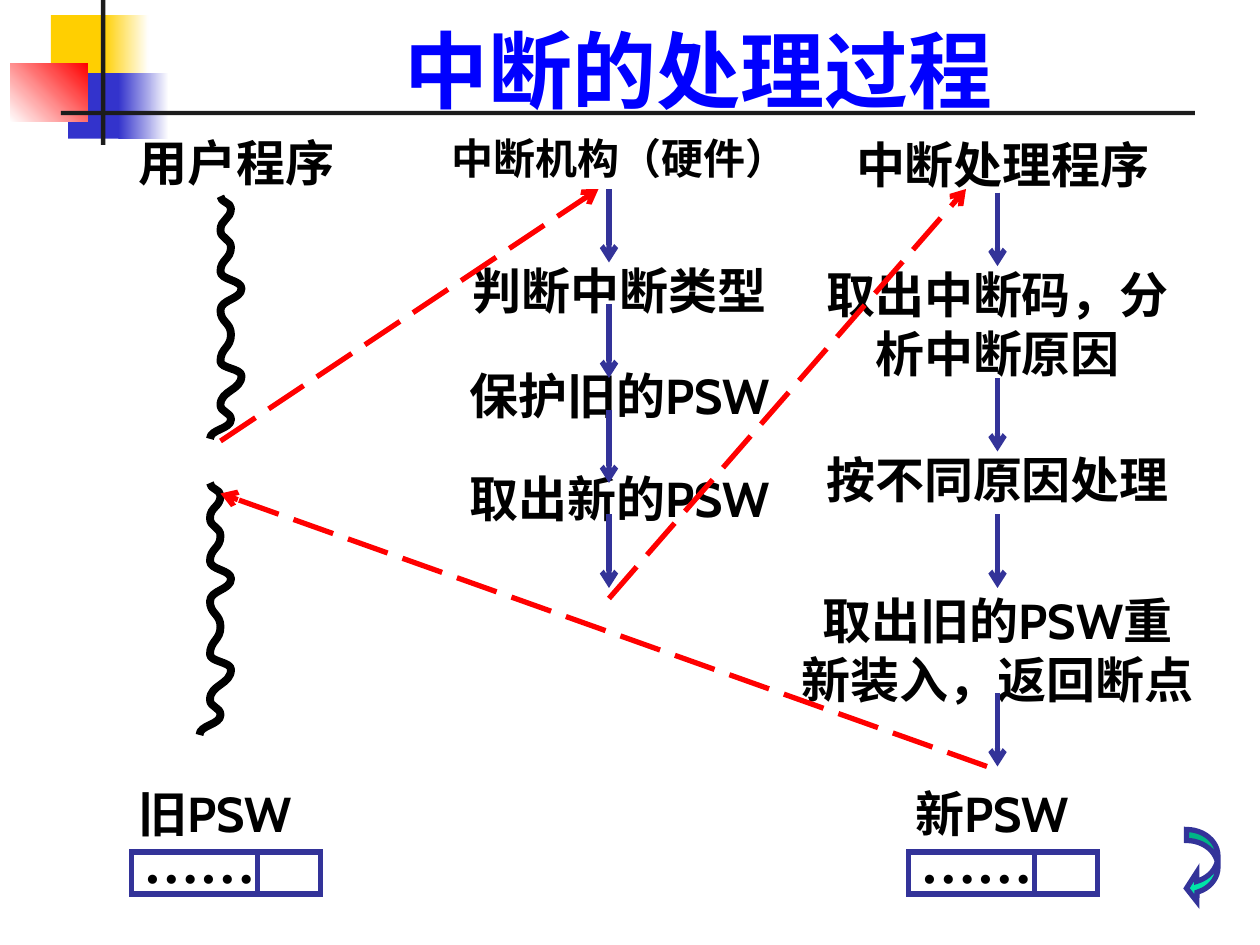
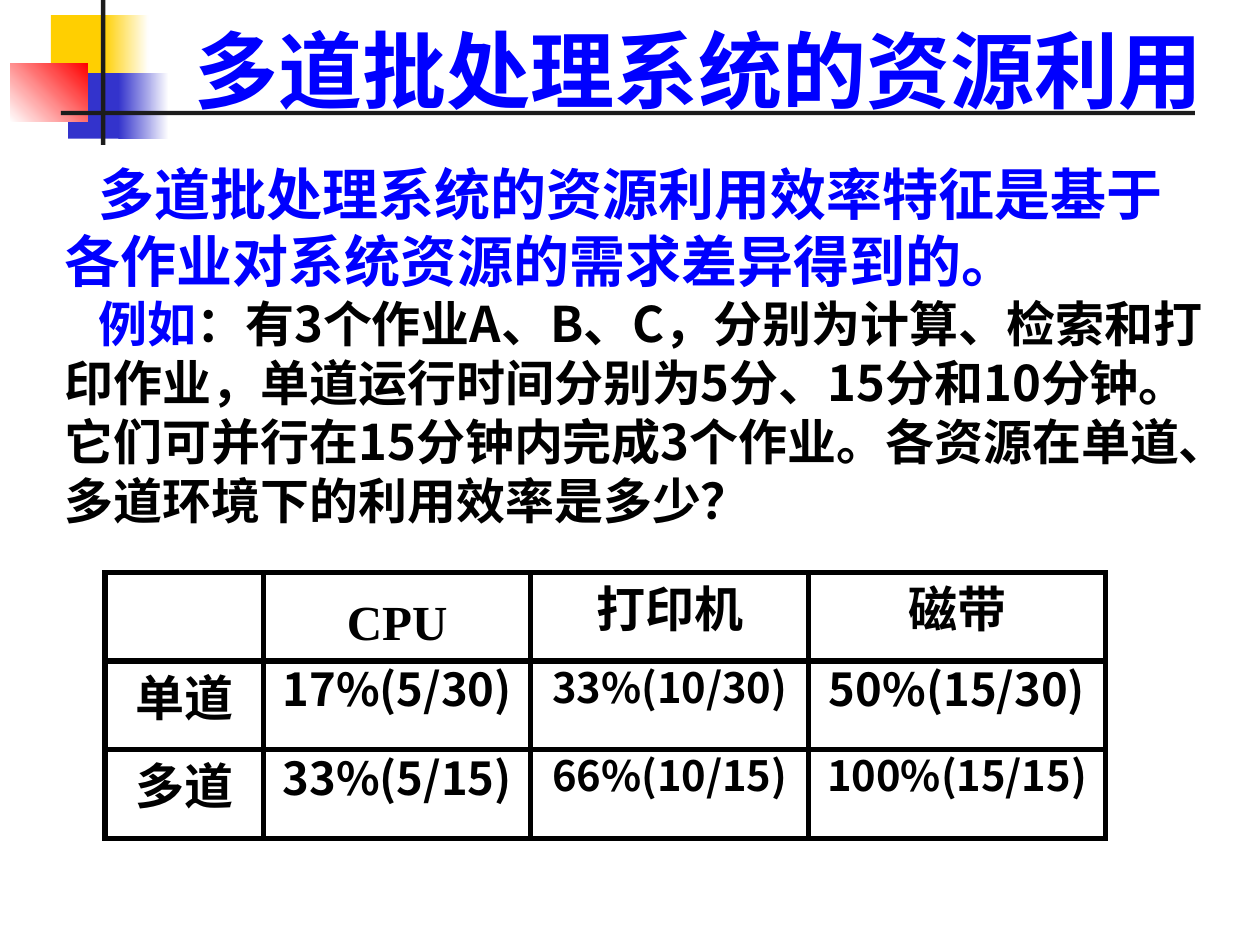
from dataclasses import dataclass

from lxml import etree
from pptx import Presentation
from pptx.dml.color import RGBColor
from pptx.enum.dml import MSO_LINE
from pptx.enum.shapes import MSO_CONNECTOR, MSO_SHAPE
from pptx.enum.text import MSO_ANCHOR, PP_ALIGN
from pptx.oxml.ns import qn
from pptx.util import Emu, Inches, Pt

RECTANGLE = MSO_SHAPE.RECTANGLE
RETURN_ARROW = MSO_SHAPE.CURVED_LEFT_ARROW
STRAIGHT = MSO_CONNECTOR.STRAIGHT
LONG_DASH = MSO_LINE.LONG_DASH
CENTER, LEFT = PP_ALIGN.CENTER, PP_ALIGN.LEFT
TOP, BOTTOM = MSO_ANCHOR.TOP, MSO_ANCHOR.BOTTOM


@dataclass(frozen=True)
class Theme:
    black: str = "000000"
    white: str = "FFFFFF"
    rule: str = "1C1C1C"
    yellow: str = "FFCF01"
    blue: str = "3333CC"
    red: str = "FF0000"
    heading: str = "0000FF"
    flow: str = "333399"
    green: str = "00E4A8"
    title_size: float = 48
    large: float = 32
    body: float = 28
    medium: float = 25.9
    small: float = 24
    compact: float = 23.8
    line: float = 3
    wave_line: float = 4.5
    latin: str = "Cabin"
    chinese: str = "Noto Sans CJK SC"
    serif: str = "Times New Roman"


theme = Theme()
COLUMNS, ROWS = 120, 90  # twelve grid cells to the inch
CELL = Inches(10) / COLUMNS


def cells(*counts):
    """Convert counts of grid cells to lengths."""
    return [Emu(round(count * CELL)) for count in counts]


def format_paragraph(paragraph, size, latin, color=theme.black, align=CENTER):
    paragraph.alignment = align
    for run in paragraph.runs:
        run.font.size = Pt(size)
        run.font.bold = True
        run.font.color.rgb = RGBColor.from_string(color)
        run.font.name = latin
        east_asian = etree.SubElement(run.font._element, qn("a:ea"))
        east_asian.set("typeface", theme.serif if latin == theme.serif else theme.chinese)


presentation = Presentation()
presentation.slide_width, presentation.slide_height = cells(COLUMNS, ROWS)
blank_layout = presentation.slide_layouts[6]

# Shared corner blocks, rules and title: box, first colour, last colour, angle
decorations = [
    ((4.85, 1.44, 5.76, 6.24), theme.yellow, None, 0),
    ((9.84, 1.44, 4.32, 6.24), theme.yellow, theme.white, 0),
    ((6.48, 6.96, 5.52, 6.24), theme.blue, None, 0),
    ((11.28, 6.96, 4.8, 6.24), theme.blue, theme.white, 0),
    ((0.96, 6, 7.4, 5.6), theme.white, theme.red, 45),
    ((9.6, 0, 0.45, 13.8), theme.rule, None, 0),
    ((5.8, 10.56, 108, 0.4), theme.rule, None, 0),
]
for title in ("中断的处理过程", "多道批处理系统的资源利用"):
    slide = presentation.slides.add_slide(blank_layout)
    for box, first_color, last_color, angle in decorations:
        shape = slide.shapes.add_shape(RECTANGLE, *cells(*box))
        shape.shadow.inherit = False
        shape.line.fill.background()
        if last_color:
            shape.fill.gradient()
            shape.fill.gradient_angle = angle
            for stop, color in zip(shape.fill.gradient_stops, (first_color, last_color)):
                stop.color.rgb = RGBColor.from_string(color)
        else:
            shape.fill.solid()
            shape.fill.fore_color.rgb = RGBColor.from_string(first_color)
    title_frame = slide.shapes.add_textbox(*cells(15.12, 1, 102.8, 11)).text_frame
    title_frame.word_wrap = True
    title_frame.vertical_anchor = BOTTOM
    title_frame.text = title
    format_paragraph(title_frame.paragraphs[0], theme.title_size, theme.latin, theme.heading)

interrupt_slide, usage_slide = presentation.slides
outlined_shapes = []  # pairs of shape and line colour

# Slide 1: running program as two waves (left, top, height)
wave_turns = [(1, 0), (2, 0.05), (1, 0.14), (2, 0.21), (1, 0.31), (3, 0.38), (1, 0.47),
              (2, 0.57), (1, 0.68), (3, 0.74), (1, 0.86), (2, 0.92), (0, 1)]
for left, top, height in ((20, 18.7, 23.1), (19, 46, 24)):
    turns = [cells(left + x, top + height * y) for x, y in wave_turns]
    builder = interrupt_slide.shapes.build_freeform(*turns[0])
    builder.add_line_segments(turns[1:], close=False)
    wave = builder.convert_to_shape()
    # Bend each segment so that it leaves and reaches its turns vertically
    segments = list(wave._element.iter(qn("a:lnTo")))
    for segment, (x_start, y_start), (x_end, y_end) in zip(segments, turns, turns[1:]):
        segment.tag = qn("a:cubicBezTo")
        middle = (y_start + y_end) // 2 - turns[0][1]
        for index, x in enumerate((x_start, x_end)):
            control = etree.Element(qn("a:pt"), x=str(x - cells(left)[0]), y=str(middle))
            segment.insert(index, control)
    wave.shadow.inherit = False
    wave.fill.background()
    wave.line.color.rgb = RGBColor.from_string(theme.black)
    wave.line.width = Pt(theme.wave_line)

# Registers for the old and new PSW
registers = [("旧PSW", 9), ("新PSW", 83)]
for name, left in registers:
    for offset, width in ((3.5, 12), (15.5, 6)):
        field = interrupt_slide.shapes.add_shape(RECTANGLE, *cells(left + offset, 81.15, width, 4))
        field.fill.background()
        outlined_shapes.append((field, theme.flow))

# Labels: text, left, top, width, height, size, font
labels = [
    ("用户程序", 11, 12, 23, 6.8, theme.body, theme.latin),
    ("中断机构（硬件）", 40, 12, 38, 6, theme.small, theme.latin),
    ("中断处理程序", 79, 12.25, 33, 6.8, theme.body, theme.latin),
    ("判断中断类型", 40, 24.25, 38, 6.8, theme.body, theme.latin),
    ("保护旧的PSW", 40, 34.25, 38, 6.8, theme.body, theme.latin),
    ("取出新的PSW", 40, 44, 38, 6.8, theme.body, theme.latin),
    ("取出中断码，分析中断原因", 76, 24.6, 38, 12.5, theme.body, theme.latin),
    ("按不同原因处理", 76, 42.25, 38, 6.8, theme.body, theme.latin),
    ("取出旧的PSW重新装入，返回断点", 75, 55.65, 40, 12.5, theme.body, theme.latin),
]
for name, left in registers:
    labels.append((name, left, 74, 23, 6.8, theme.body, theme.latin))
    labels.append(("……", left + 2.5, 78.2, 15, 7.7, theme.large, theme.serif))
for text, left, top, width, height, size, font in labels:
    frame = interrupt_slide.shapes.add_textbox(*cells(left, top, width, height)).text_frame
    frame.word_wrap = True
    frame.text = text
    format_paragraph(frame.paragraphs[0], size, font)

# Arrows: down each column, and dashed jumps between the columns
HARDWARE, HANDLER, STEP_LENGTH = 58, 95, 7
arrows = [((HARDWARE, top, HARDWARE, top + STEP_LENGTH), False) for top in (18, 29, 39, 49)]
arrows += [((HANDLER, top, HANDLER, top + STEP_LENGTH), False) for top in (18.35, 36, 49, 66)]
arrows += [(ends, True) for ends in ((21, 42, 57, 18), (58, 57, 92, 18), (94, 73, 21, 47))]
for ends, is_jump in arrows:
    arrow = interrupt_slide.shapes.add_connector(STRAIGHT, *cells(*ends))
    arrow.line.color.rgb = RGBColor.from_string(theme.red if is_jump else theme.flow)
    arrow.line.width = Pt(theme.line)
    if is_jump:
        arrow.line.dash_style = LONG_DASH
    etree.SubElement(arrow.line._get_or_add_ln(), qn("a:tailEnd")).set("type", "arrow")
    etree.SubElement(arrow._element.spPr, qn("a:effectLst"))

return_arrow = interrupt_slide.shapes.add_shape(RETURN_ARROW, *cells(113, 79, 3, 7))
for index, share in enumerate((0.35, 0.93, 0.33)):
    return_arrow.adjustments[index] = share
return_arrow.fill.solid()
return_arrow.fill.fore_color.rgb = RGBColor.from_string(theme.green)
outlined_shapes.append((return_arrow, theme.flow))

# Slide 2: explanation
explanation = usage_slide.shapes.add_textbox(*cells(5, 14.57, 111, 36.5)).text_frame
explanation.word_wrap = True
statement = explanation.paragraphs[0]
statement.text = "多道批处理系统的资源利用效率特征是基于各作业对系统资源的需求差异得到的。"
format_paragraph(statement, theme.large, theme.chinese, theme.heading, LEFT)
example = explanation.add_paragraph()
example.text = "例如"
example.add_run().text = (
    "：有3个作业A、B、C，分别为计算、检索和打印作业，单道运行时间分别为5分、15分和10分钟。"
    "它们可并行在15分钟内完成3个作业。各资源在单道、多道环境下的利用效率是多少？")
format_paragraph(example, theme.body, theme.chinese, align=LEFT)
example.runs[0].font.color.rgb = RGBColor.from_string(theme.heading)
for paragraph in (statement, example):
    paragraph._p.get_or_add_pPr().set("indent", str(cells(3.2)[0]))

# Utilisation grid of boxes: left, width, size of the figures, then texts by row
usage_columns = [
    (10, 15.1, (theme.body, theme.body), ("", "单道", "多道")),
    (25.1, 25.45, (theme.medium, theme.medium), ("CPU", "17%(5/30)", "33%(5/15)")),
    (50.55, 26.45, (theme.compact, theme.compact), ("打印机", "33%(10/30)", "66%(10/15)")),
    (77, 28.3, (theme.medium, theme.compact), ("磁带", "50%(15/30)", "100%(15/15)")),
]
GRID_TOP, ROW_HEIGHT = 54.5, 8.45
for left, width, figure_sizes, texts in usage_columns:
    for row, (text, size) in enumerate(zip(texts, (theme.body, *figure_sizes))):
        box = usage_slide.shapes.add_shape(
            RECTANGLE, *cells(left, GRID_TOP + row * ROW_HEIGHT, width, ROW_HEIGHT))
        box.fill.background()
        outlined_shapes.append((box, theme.black))
        if text:
            frame = box.text_frame
            frame.word_wrap = True
            frame.vertical_anchor = TOP
            frame.text = text
            paragraph = frame.paragraphs[0]
            format_paragraph(paragraph, size, theme.serif if text == "CPU" else theme.chinese)
            if text == "CPU":
                frame.margin_top = cells(1.86)[0]
            if size != theme.body:
                paragraph.line_spacing = 0.9

for shape, color in outlined_shapes:
    shape.shadow.inherit = False
    shape.line.color.rgb = RGBColor.from_string(color)
    shape.line.width = Pt(theme.line)
    etree.SubElement(shape.line._get_or_add_ln(), qn("a:miter"), lim="800000")

presentation.save("out.pptx")
